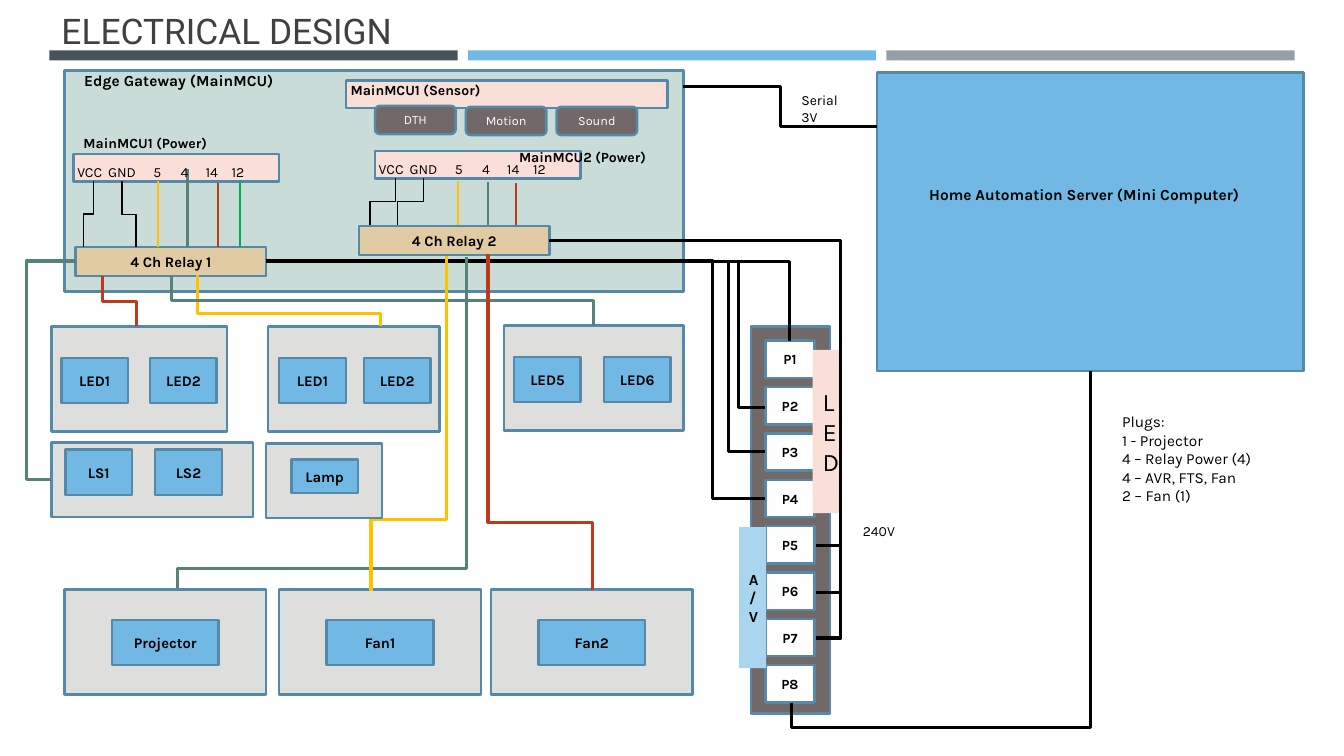
from lxml import etree
from pptx import Presentation
from pptx.dml.color import RGBColor
from pptx.enum import shapes, text
from pptx.oxml import ns
from pptx.util import Inches, Pt

COLORS = {
    "black": "000000", "white": "FFFFFF", "title": "404040",
    "slate": "465359", "sky": "71B9E4", "silver": "969FA7", "border": "5489A9",
    "panel": "DEDEDC", "gateway": "CADCD8", "board": "F9DFD8", "relay": "E0CBA3",
    "dark": "726868", "av": "AAD5EF",
    "red": "BB3B1C", "yellow": "FFC000", "teal": "578279", "green": "00B050",
}
LEFT, CENTER = text.PP_ALIGN.LEFT, text.PP_ALIGN.CENTER
TOP, MIDDLE, BOTTOM = (text.MSO_ANCHOR.TOP, text.MSO_ANCHOR.MIDDLE,
                       text.MSO_ANCHOR.BOTTOM)
RECT = shapes.MSO_SHAPE.RECTANGLE


def rgb(name):
    return RGBColor.from_string(COLORS[name])


def write(shape, content, size=10, bold=False, color="black", font="Karla",
          align=LEFT, anchor=TOP, side_inset=0.1):
    """Fill a shape with text, one paragraph for each line of content."""
    frame = shape.text_frame
    frame.word_wrap = True
    frame.auto_size = text.MSO_AUTO_SIZE.NONE
    frame.vertical_anchor = anchor
    frame.margin_left = frame.margin_right = Inches(side_inset)
    frame.text = content
    for paragraph in frame.paragraphs:
        paragraph.alignment = align
        paragraph.font.size = Pt(size)
        for run in paragraph.runs:
            run.font.size = Pt(size)
            run.font.bold = bold
            run.font.name = font
            run.font.color.rgb = rgb(color)


def label(slide, box, content, **style):
    write(slide.shapes.add_textbox(*map(Inches, box)), content, **style)


def block(slide, box, fill, content="", outlined=True, preset=RECT, **style):
    shape = slide.shapes.add_shape(preset, *map(Inches, box))
    shape.shadow.inherit = False
    shape.fill.solid()
    shape.fill.fore_color.rgb = rgb(fill)
    if outlined:
        shape.line.color.rgb = rgb("border")
        shape.line.width = Pt(1.75)
    else:
        shape.line.fill.background()
    if content:
        write(shape, content, align=CENTER, anchor=MIDDLE, **style)


def wire(slide, start, end, color="black", width=2.25, bend_x=None, bend_y=None):
    """Join two points, straight or with an elbow whose middle run is at bend_x or bend_y."""
    (x1, y1), (x2, y2) = start, end
    kind = shapes.MSO_CONNECTOR.ELBOW
    ratio = None
    if bend_x is not None:
        ratio = (bend_x - x1) / (x2 - x1)
    elif bend_y is not None:
        ratio = (bend_y - y1) / (y2 - y1)
        # Lay the elbow out sideways around its centre; a quarter turn restores it.
        mid_x, mid_y = (x1 + x2) / 2, (y1 + y2) / 2
        run, rise = (y2 - y1) / 2, (x1 - x2) / 2
        x1, y1, x2, y2 = mid_x - run, mid_y - rise, mid_x + run, mid_y + rise
    else:
        kind = shapes.MSO_CONNECTOR.STRAIGHT
    line = slide.shapes.add_connector(kind, *map(Inches, (x1, y1, x2, y2)))
    line.line.color.rgb = rgb(color)
    line.line.width = Pt(width)
    properties = line._element.spPr
    etree.SubElement(properties, ns.qn("a:effectLst"))
    if bend_y is not None:
        properties.find(ns.qn("a:xfrm")).set("rot", "5400000")
    if ratio is not None:
        adjustments = properties.find(ns.qn("a:prstGeom")).get_or_add_avLst()
        etree.SubElement(adjustments, ns.qn("a:gd"), name="adj1",
                         fmla=f"val {round(ratio * 100000)}")


def header(slide, left, top):
    for i, color in enumerate(("slate", "sky", "silver")):
        block(slide, (left + 4.15 * i, top + 0.4, 4.05, 0.1), color, outlined=False)
    title = slide.shapes.title
    title.left, title.top, title.width, title.height = map(
        Inches, (left + 0.02, top, 12.06, 0.46))
    write(title, "ELECTRICAL DESIGN", size=25.2, color="title", font="Roboto",
          anchor=BOTTOM)


def server(slide, left, top):
    block(slide, (left, top, 4.23, 2.96), "sky")
    label(slide, (left - 0.06, top + 1.07, 4.23, 0.29),
          "Home Automation Server (Mini Computer)", size=11, bold=True, align=CENTER)


def panel(slide, box, devices, first, pitch=0, size=(0.66, 0.45)):
    """Room panel with its devices in a row; first is the offset of the first device."""
    block(slide, box, "panel")
    for i, device in enumerate(devices):
        block(slide, (box[0] + first[0] + pitch * i, box[1] + first[1], *size),
              "sky", device, size=10.5, bold=True)


def power_board(slide, left, top, supply_ends, signals, depth):
    """Controller board with its pins, supply wires and (colour, x, start) signal wires."""
    block(slide, (left, top, 2.04, 0.27), "board")
    for pin_x, end_x in zip((0.2, 0.48), supply_ends):
        wire(slide, (left + pin_x, top + 0.27), (left + end_x, top + depth),
             width=1, bend_y=top + (0.27 + depth) / 2)
    for color, x, start in signals:
        wire(slide, (left + x, top + start), (left + x, top + depth), color, 1.5)
    pins = {"VCC": 0.16, "GND": 0.48, "5": 0.83, "4": 1.1, "14": 1.37, "12": 1.63}
    for pin, x in pins.items():
        label(slide, (left + x - 0.2, top + 0.04, 0.4, 0.27), pin,
              align=CENTER, side_inset=0)


def gateway(slide, left, top):
    block(slide, (left, top, 6.14, 2.19), "gateway")
    label(slide, (left, top - 0.04, 2.27, 0.29), "Edge Gateway (MainMCU)",
          size=11, bold=True, align=CENTER)
    block(slide, (left + 2.79, top + 0.1, 3.19, 0.27), "board")
    label(slide, (left + 2.74, top + 0.06, 1.57, 0.27), "MainMCU1 (Sensor)", bold=True)
    for i, (sensor, drop) in enumerate((("DTH", 0.35), ("Motion", 0.36), ("Sound", 0.36))):
        block(slide, (left + 3.08 + 0.9 * i, top + drop, 0.8, 0.28), "dark", sensor,
              preset=shapes.MSO_SHAPE.ROUNDED_RECTANGLE, size=9, color="white")
    for i, (x, y) in enumerate(((0.11, 1.75), (2.92, 1.54)), 1):
        block(slide, (left + x, top + y, 1.89, 0.29), "relay", f"4 Ch Relay {i}",
              size=10.5, bold=True)
    power_board(slide, left + 0.09, top + 0.83, (0.1, 0.62),
                (("yellow", 0.84, 0.27), ("teal", 1.13, 0.15),
                 ("red", 1.43, 0.29), ("green", 1.65, 0.27)), 0.92)
    power_board(slide, left + 3.08, top + 0.8, (-0.05, 0.22),
                (("yellow", 0.82, 0.3), ("teal", 1.12, 0.31), ("red", 1.4, 0.32)), 0.73)
    label(slide, (left + 0.09, top + 0.59, 1.57, 0.27), "MainMCU1 (Power)", bold=True)
    label(slide, (left + 4.41, top + 0.72, 1.57, 0.27), "MainMCU2 (Power)", bold=True)


def power_strip(slide, left, top):
    block(slide, (left, top, 0.78, 3.84), "dark")
    for i in range(8):
        block(slide, (left + 0.14, top + 0.14 + 0.46 * i, 0.49, 0.37), "white",
              f"P{i + 1}", bold=True)
    block(slide, (left + 0.61, top + 0.23, 0.27, 1.62), "board", "LED",
          outlined=False, size=18)
    block(slide, (left - 0.12, top + 1.99, 0.27, 1.4), "av", "A/V",
          outlined=False, size=11, bold=True)


def wiring(slide):
    relay1, relay2 = (2.64, 2.59), (5.45, 2.39)
    for plug, bend in (((7.83, 3.38), 7.83), ((7.59, 4.04), 7.33),
                       ((7.59, 4.48), 7.23), ((7.59, 4.95), 7.07)):
        wire(slide, relay1, plug, bend_x=bend)
    for plug_y in (5.41, 5.88, 6.33):
        wire(slide, (8.09, plug_y), relay2, bend_x=8.34)
    wire(slide, (8.7, 1.26), (6.77, 0.86), bend_x=7.74)
    wire(slide, (7.85, 6.97), (10.82, 3.68), bend_y=7.22)
    wire(slide, (0.75, 2.59), (0.51, 4.76), "teal", bend_x=0.26)
    for start, end, color, bend in (
            ((1.02, 2.74), (1.35, 3.23), "red", 2.99),
            ((1.96, 2.73), (3.77, 3.23), "yellow", 3.11),
            ((1.7, 2.74), (5.89, 3.23), "teal", 2.98),
            ((4.63, 2.55), (1.76, 5.84), "teal", 5.64),
            ((4.43, 2.54), (3.68, 5.86), "yellow", 5.15),
            ((4.84, 2.52), (5.88, 5.85), "red", 5.18)):
        wire(slide, start, end, color, bend_y=bend)


def main():
    deck = Presentation()
    deck.slide_width, deck.slide_height = Inches(13.33), Inches(7.5)
    slide = deck.slides.add_slide(deck.slide_layouts[5])
    header(slide, 0.49, 0.1)
    server(slide, 8.7, 0.72)
    gateway(slide, 0.64, 0.7)
    panel(slide, (0.51, 3.24, 1.74, 1.04), ("LED1", "LED2"), (0.1, 0.31), 0.88)
    panel(slide, (2.66, 3.24, 1.7, 1.04), ("LED1", "LED2"), (0.11, 0.31), 0.84)
    panel(slide, (5, 3.23, 1.78, 1.04), ("LED5", "LED6"), (0.1, 0.31), 0.89)
    panel(slide, (0.51, 4.39, 2, 0.74), ("LS1", "LS2"), (0.14, 0.07), 0.89)
    for left, device in ((0.64, "Projector"), (2.77, "Fan1"), (4.87, "Fan2")):
        panel(slide, (left, 5.85, 2, 1.04), (device,), (0.47, 0.3), size=(1.06, 0.45))
    power_strip(slide, 7.45, 3.24)
    wiring(slide)
    panel(slide, (2.64, 4.4, 1.15, 0.74), ("Lamp",), (0.25, 0.16), size=(0.66, 0.33))
    label(slide, (7.85, 0.86, 0.72, 0.44), "Serial 3V")
    label(slide, (8.46, 5.13, 0.72, 0.27), "240V")
    label(slide, (11.03, 4.04, 2.01, 1.03),
          "Plugs:\n1 - Projector\n4 – Relay Power (4)\n4 – AVR, FTS, Fan\n2 – Fan (1)",
          size=11)
    deck.save("out.pptx")


if __name__ == "__main__":
    main()
